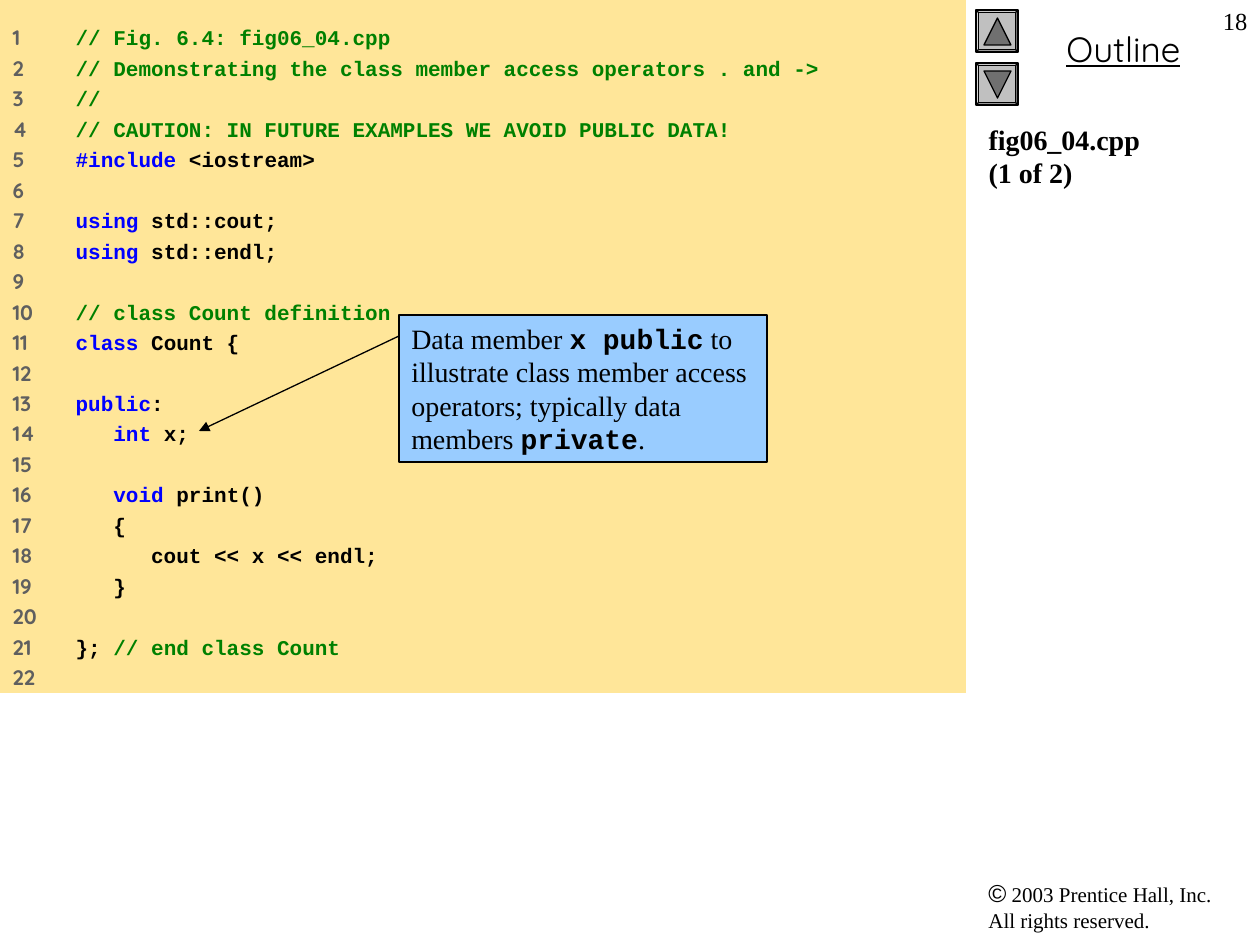
import copy
import lxml.etree
import pptx
import pptx.dml.color
import pptx.enum.shapes
import pptx.enum.text
import pptx.oxml.ns
import pptx.util

SHAPES = pptx.enum.shapes.MSO_SHAPE
ALIGN = pptx.enum.text.PP_ALIGN
PX = 914400 / 126
SERIF, MONO, ROUND = "Times New Roman", "Courier New", "Quicksand"
BLACK, GREY, GREEN, BLUE = "000000", "5F5F5F", "008000", "0000FF"
PALE_YELLOW, PALE_BLUE = "FFE699", "99CCFF"
BUTTON_FACE, BUTTON_ARROW = "C0C0C0", "707070"

CODE = [
    [("// Fig. 6.4: fig06_04.cpp", GREEN)],
    [("// Demonstrating the class member access operators . and ->", GREEN)],
    [("//", GREEN)],
    [("// CAUTION: IN FUTURE EXAMPLES WE AVOID PUBLIC DATA!", GREEN)],
    [("#include", BLUE), (" <iostream>", BLACK)],
    [],
    [("using", BLUE), (" std::cout;", BLACK)],
    [("using", BLUE), (" std::endl;", BLACK)],
    [],
    [("// class Count definition", GREEN)],
    [("class", BLUE), (" Count {", BLACK)],
    [],
    [("public", BLUE), (":", BLACK)],
    [("   int", BLUE), (" x;", BLACK)],
    [],
    [("   void", BLUE), (" print()", BLACK)],
    [("   {", BLACK)],
    [("      cout << x << endl;", BLACK)],
    [("   }", BLACK)],
    [],
    [("}; ", BLACK), ("// end class Count", GREEN)],
    [],
]
CALLOUT = [
    ("Data member ", False),
    ("x public", True),
    (" to illustrate class member access operators; typically data members ", False),
    ("private", True),
    (".", False),
]
BUTTONS = [(10, 0), (63, 180)]


def px(value):
    return round(value * PX)


def place(*lengths):
    return [px(length) for length in lengths]


def colour(value):
    return pptx.dml.color.RGBColor.from_string(value)


def write(para, text, font=SERIF, size=16, color=BLACK, bold=False, underline=False):
    for index, line in enumerate(text.split("\n")):
        if index:
            para.add_line_break()
            para._p[-1].append(copy.deepcopy(span._r.rPr))
        span = para.add_run()
        span.text = line
        span.font.name = font
        span.font.size = pptx.util.Pt(size)
        span.font.bold = bold
        span.font.underline = underline
        span.font.color.rgb = colour(color)


def prepare(box, align=ALIGN.LEFT, anchor=pptx.enum.text.MSO_ANCHOR.TOP):
    frame = box.text_frame
    frame.word_wrap = True
    frame.auto_size = pptx.enum.text.MSO_AUTO_SIZE.NONE
    frame.vertical_anchor = anchor
    frame.paragraphs[0].alignment = align
    return frame


def add_text(slide, bounds, align=ALIGN.LEFT):
    box = slide.shapes.add_textbox(*place(*bounds))
    return prepare(box, align).paragraphs[0]


def move(box, bounds):
    box.left, box.top, box.width, box.height = place(*bounds)


def add_block(slide, kind, bounds, fill):
    block = slide.shapes.add_shape(kind, *place(*bounds))
    block.shadow.inherit = False
    block.fill.solid()
    block.fill.fore_color.rgb = colour(fill)
    block.line.color.rgb = colour(BLACK)
    block.line.width = pptx.util.Pt(0.75)
    return block


def add_tab(para, position):
    stops = lxml.etree.SubElement(para._p.get_or_add_pPr(), pptx.oxml.ns.qn("a:tabLst"))
    lxml.etree.SubElement(stops, pptx.oxml.ns.qn("a:tab"), pos=str(px(position)), algn="l")


def fill_code(panel):
    move(panel, (0, 0, 966, 693))
    panel.fill.solid()
    panel.fill.fore_color.rgb = colour(PALE_YELLOW)
    frame = prepare(panel)
    frame.margin_top = frame.margin_bottom = px(25)
    for number, tokens in enumerate(CODE, 1):
        para = frame.paragraphs[0] if number == 1 else frame.add_paragraph()
        para.alignment = ALIGN.LEFT
        para.space_before = pptx.util.Pt(0 if number == 1 else 3)
        add_tab(para, 45)
        gap = "\t" if tokens else ""
        write(para, f"{number}{gap}", font=ROUND, size=12, color=GREY, bold=True)
        for text, color in tokens:
            write(para, text, font=MONO, size=12, color=color, bold=True)


def add_buttons(slide):
    for top, turn in BUTTONS:
        face = add_block(slide, SHAPES.BEVEL, (976, top, 42, 42), BUTTON_FACE)
        face.adjustments[0] = 0.06
        bounds = (984, top + 8, 27, 27)
        arrow = add_block(slide, SHAPES.ISOSCELES_TRIANGLE, bounds, BUTTON_ARROW)
        arrow.rotation = turn


def add_callout(slide):
    box = add_block(slide, SHAPES.RECTANGLE, (399, 315, 368, 147), PALE_BLUE)
    para = prepare(box).paragraphs[0]
    for text, is_code in CALLOUT:
        write(para, text, font=MONO if is_code else SERIF, bold=is_code)
    pointer = slide.shapes.add_connector(
        pptx.enum.shapes.MSO_CONNECTOR.STRAIGHT, *place(399, 336, 199, 431))
    pointer.line.color.rgb = colour(BLACK)
    pointer.line.width = pptx.util.Pt(0.75)
    lxml.etree.SubElement(pointer.line._get_or_add_ln(), pptx.oxml.ns.qn("a:tailEnd"), type="triangle")
    lxml.etree.SubElement(pointer._element.spPr, pptx.oxml.ns.qn("a:effectLst"))


def main():
    deck = pptx.Presentation()
    deck.slide_width, deck.slide_height = place(1260, 945)
    slide = deck.slides.add_slide(deck.slide_layouts[0])
    title, panel = slide.placeholders

    move(title, (976, 116, 284, 662))
    write(prepare(title).paragraphs[0], "fig06_04.cpp\n(1 of 2)", bold=True)
    fill_code(panel)

    notice = add_text(slide, (976, 872, 274, 68))
    write(notice, "©", font="Arial", size=14)
    write(notice, " 2003 Prentice Hall, Inc.\nAll rights reserved.", size=12)
    heading = add_text(slide, (987, 21, 273, 55), ALIGN.CENTER)
    write(heading, "Outline", font=ROUND, size=20, underline=True)
    number = add_text(slide, (1197, 0, 63, 63), ALIGN.RIGHT)
    write(number, "18", size=14)

    add_buttons(slide)
    add_callout(slide)
    deck.save("out.pptx")


if __name__ == "__main__":
    main()
